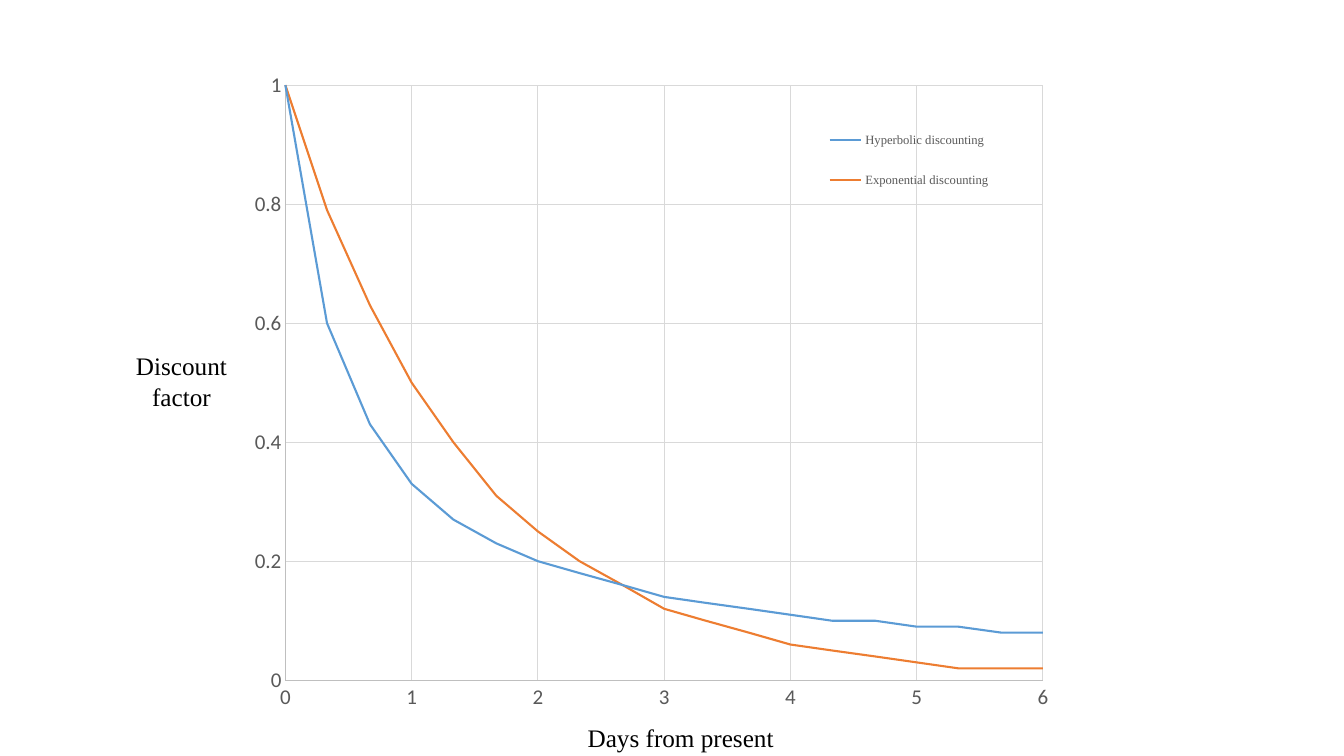
import pptx
import pptx.chart.data
import pptx.dml.color
import pptx.enum.chart
import pptx.enum.text
import pptx.oxml
import pptx.oxml.ns
import pptx.util

Inches = pptx.util.Inches
Pt = pptx.util.Pt
RGBColor = pptx.dml.color.RGBColor

BLACK = RGBColor(0x00, 0x00, 0x00)
LABEL_GRAY = RGBColor(0x59, 0x59, 0x59)
AXIS_GRAY = RGBColor(0xBF, 0xBF, 0xBF)
GRID_GRAY = RGBColor(0xD9, 0xD9, 0xD9)
BLUE = RGBColor(0x5B, 0x9B, 0xD5)
ORANGE = RGBColor(0xED, 0x7D, 0x31)
SERIF = "Times New Roman"


def set_layout(parent, index, inner, x, y, w, h):
    for old in parent.findall(pptx.oxml.ns.qn("c:layout")):
        parent.remove(old)
    target = '<c:layoutTarget val="inner"/>' if inner else ""
    parent.insert(index, pptx.oxml.parse_xml(
        f'<c:layout {pptx.oxml.ns.nsdecls("c")}><c:manualLayout>{target}'
        '<c:xMode val="edge"/><c:yMode val="edge"/>'
        f'<c:x val="{x}"/><c:y val="{y}"/><c:w val="{w}"/><c:h val="{h}"/>'
        '</c:manualLayout></c:layout>'))


def set_font(font, size, color, name):
    font.size = Pt(size)
    font.color.rgb = color
    font.name = name


prs = pptx.Presentation()
prs.slide_width = Inches(13.33)
prs.slide_height = Inches(7.5)
s = prs.slides.add_slide(prs.slide_layouts[6])

days = [step / 3 for step in range(25)]
curves = [
    ("Hyperbolic discounting", BLUE, [1 / (1 + 2 * d) for d in days]),
    ("Exponential discounting", ORANGE, [0.5 ** d for d in days]),
]
data = pptx.chart.data.XyChartData()
for name, color, factors in curves:
    series = data.add_series(name)
    for day, factor in zip(days, factors):
        series.add_data_point(round(day, 2), round(factor, 2))

chart = s.shapes.add_chart(
    pptx.enum.chart.XL_CHART_TYPE.XY_SCATTER_SMOOTH_NO_MARKERS,
    Inches(2.37), Inches(0.3), Inches(8.52), Inches(6.98), data).chart
chart.has_title = False
set_font(chart.font, 10, BLACK, "Calibri")

plot = chart.plots[0]
plot.vary_by_categories = False
for series, (name, color, factors) in zip(plot.series, curves):
    series.smooth = True
    series.marker.style = pptx.enum.chart.XL_MARKER_STYLE.NONE
    series.format.line.color.rgb = color
    series.format.line.width = Pt(1.5)

for axis, top, unit in ((chart.category_axis, 6, 1), (chart.value_axis, 1, 0.2)):
    axis.minimum_scale = 0
    axis.maximum_scale = top
    axis.major_unit = unit
    axis.major_tick_mark = pptx.enum.chart.XL_TICK_MARK.NONE
    axis.minor_tick_mark = pptx.enum.chart.XL_TICK_MARK.NONE
    axis.has_major_gridlines = True
    for line, color in ((axis.format.line, AXIS_GRAY),
                        (axis.major_gridlines.format.line, GRID_GRAY)):
        line.color.rgb = color
        line.width = Pt(0.75)
    axis.tick_labels.number_format = "General"
    axis.tick_labels.number_format_is_linked = False
    set_font(axis.tick_labels.font, 15, LABEL_GRAY, "Calibri")

chart.has_legend = True
legend = chart.legend
legend.position = pptx.enum.chart.XL_LEGEND_POSITION.CORNER
legend.include_in_layout = False
set_font(legend.font, 9, LABEL_GRAY, SERIF)
set_layout(legend._element, 1, False, 0.67, 0.11, 0.22, 0.15)
set_layout(plot._element.getparent(), 0, True, 0.054, 0.078, 0.882, 0.846)

axis_titles = [
    (5.73, 7.12, 2.34, 0.4, pptx.enum.text.PP_ALIGN.LEFT, ["Days from present"]),
    (1.23, 3.43, 1.14, 0.71, pptx.enum.text.PP_ALIGN.CENTER, ["Discount", "factor"]),
]
for left, top, width, height, align, lines in axis_titles:
    tf = s.shapes.add_textbox(
        Inches(left), Inches(top), Inches(width), Inches(height)).text_frame
    tf.word_wrap = True
    p = tf.paragraphs[0]
    p.alignment = align
    for i, text in enumerate(lines):
        if i:
            p.add_line_break()
        r = p.add_run()
        r.text = text
        set_font(r.font, 18, BLACK, SERIF)

prs.save("out.pptx")
